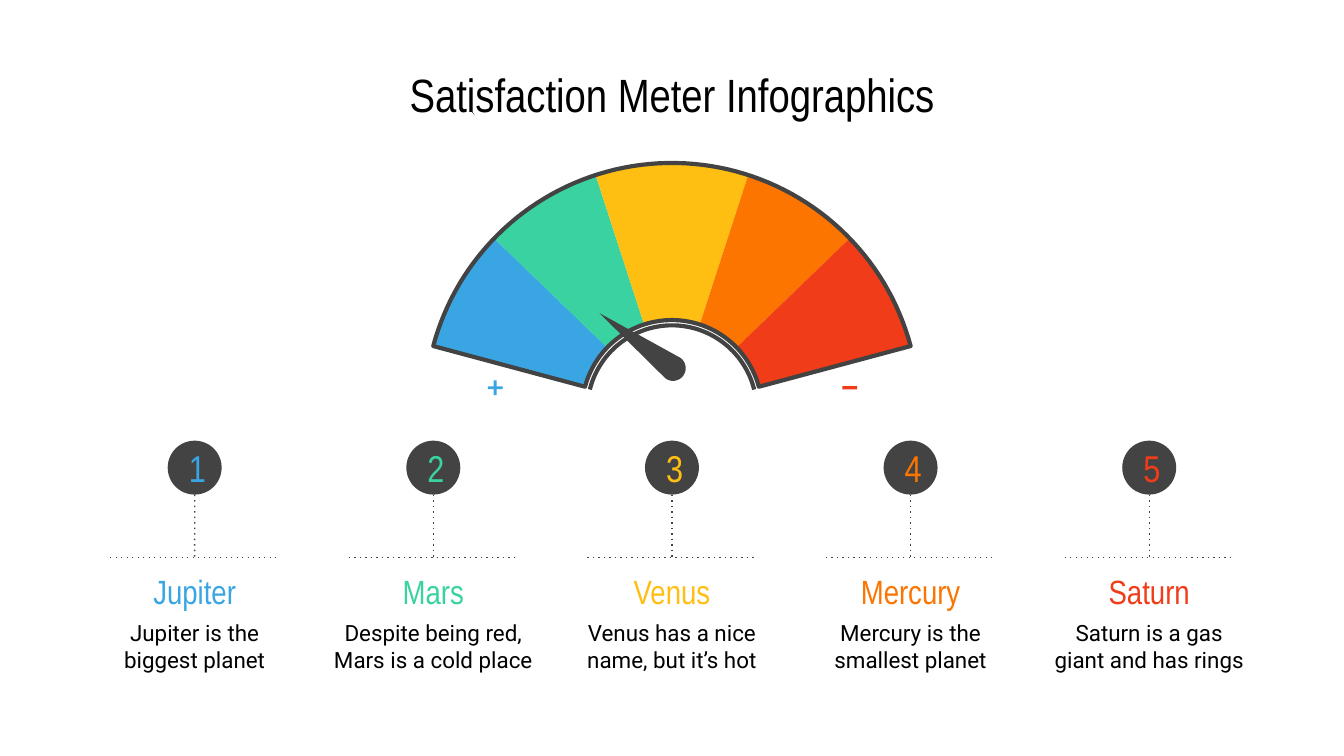
"""Build a satisfaction meter slide with a five-part gauge and its legend."""
import math
from typing import NamedTuple

import lxml.etree
import pptx
import pptx.dml.color
import pptx.enum.shapes
import pptx.enum.text
import pptx.oxml.ns
import pptx.util

Cm = pptx.util.Cm
RGBColor = pptx.dml.color.RGBColor
Kind = pptx.enum.shapes.MSO_SHAPE
Anchor = pptx.enum.text.MSO_ANCHOR
Point = tuple[float, float]

BLUE = RGBColor(0x39, 0xA6, 0xE3)
GREEN = RGBColor(0x39, 0xD2, 0xA0)
YELLOW = RGBColor(0xFF, 0xBE, 0x12)
ORANGE = RGBColor(0xFC, 0x75, 0x00)
RED = RGBColor(0xF1, 0x3C, 0x19)
DARK = RGBColor(0x43, 0x43, 0x43)
BLACK = RGBColor(0, 0, 0)

NARROW = "Arial Narrow"
WIDTH, HEIGHT = 25.4, 14.29
MIDDLE = WIDTH / 2
CENTER = (MIDDLE, 7.75)
OUTER, INNER, RIM = 4.67, 1.7, 1.6
HUB, TIP = (12.72, 6.96), (11.33, 5.92)
PITCH, BOX = 4.51, 4.29
DISC, TOP, RULE = 1.02, 8.33, 10.54


class Planet(NamedTuple):
    name: str
    fact: str
    color: RGBColor
    start: float
    end: float


PLANETS = [
    Planet("Jupiter", "Jupiter is the biggest planet", BLUE, 165, 136),
    Planet("Mars", "Despite being red, Mars is a cold place", GREEN, 136, 108),
    Planet("Venus", "Venus has a nice name, but it’s hot", YELLOW, 108, 72),
    Planet("Mercury", "Mercury is the smallest planet", ORANGE, 72, 44),
    Planet("Saturn", "Saturn is a gas giant and has rings", RED, 44, 15),
]


def arc(center: Point, radius: float, start: float, end: float) -> list[Point]:
    """Return points along an arc, with angles in degrees from the right."""
    steps = max(2, round(abs(end - start) / 2))
    turns = [math.radians(start + (end - start) * i / steps) for i in range(steps + 1)]
    return [(center[0] + radius * math.cos(t), center[1] - radius * math.sin(t)) for t in turns]


def ring(start: float, end: float) -> list[Point]:
    """Return the outline of a gauge sector."""
    return arc(CENTER, OUTER, start, end) + arc(CENTER, INNER, end, start)


def paint(shape, fill=None, line=None):
    """Set the fill and line of a shape and drop its shadow."""
    shape.shadow.inherit = False
    if fill is None:
        shape.fill.background()
    else:
        shape.fill.solid()
        shape.fill.fore_color.rgb = fill
    if line is None:
        shape.line.fill.background()
    else:
        shape.line.color.rgb = line
        shape.line.width = pptx.util.Pt(2.25)
    return shape


def trace(slide, points: list[Point], close: bool = True, fill=None, line=None):
    """Draw a freeform through the given points."""
    spots = [(Cm(x), Cm(y)) for x, y in points]
    pen = slide.shapes.build_freeform(*spots[0])
    pen.add_line_segments(spots[1:], close=close)
    return paint(pen.convert_to_shape(), fill, line)


def block(slide, kind, x: float, y: float, w: float, h: float, fill: RGBColor):
    """Draw a filled preset shape."""
    return paint(slide.shapes.add_shape(kind, Cm(x), Cm(y), Cm(w), Cm(h)), fill)


def write(shape, text: str, *, size: float, color=BLACK, font=NARROW, anchor=Anchor.TOP):
    """Put centred text in a shape."""
    frame = shape.text_frame
    frame.word_wrap = True
    frame.vertical_anchor = anchor
    frame.margin_left = frame.margin_right = Cm(0.25)
    frame.margin_top = frame.margin_bottom = Cm(0.25)
    para = frame.paragraphs[0]
    para.alignment = pptx.enum.text.PP_ALIGN.CENTER
    run = para.add_run()
    run.text = text
    run.font.size = pptx.util.Pt(size)
    run.font.name = font
    run.font.color.rgb = color
    return shape


def field(slide, x: float, y: float, w: float, h: float):
    """Add an empty text box."""
    return slide.shapes.add_textbox(Cm(x), Cm(y), Cm(w), Cm(h))


def dots(slide, start: Point, end: Point):
    """Draw a dotted line."""
    ends = [Cm(v) for v in (*start, *end)]
    link = slide.shapes.add_connector(pptx.enum.shapes.MSO_CONNECTOR.STRAIGHT, *ends)
    link.line.color.rgb = DARK
    link.line.width = pptx.util.Pt(0.75)
    qn = pptx.oxml.ns.qn
    props = link._element.spPr
    lxml.etree.SubElement(props.find(qn("a:ln")), qn("a:prstDash"), val="dot")
    lxml.etree.SubElement(props, qn("a:effectLst"))
    return link


def gauge(slide) -> None:
    """Draw the coloured sectors, outlines, signs and needle."""
    for planet in PLANETS:
        trace(slide, ring(planet.start, planet.end), fill=planet.color)
    plus = block(slide, Kind.CROSS, 9.22, 7.19, 0.28, 0.28, BLUE)
    plus.adjustments[0] = 0.4
    block(slide, Kind.RECTANGLE, 15.92, 7.3, 0.28, 0.06, RED)
    trace(slide, ring(165, 15), line=DARK)
    trace(slide, arc(CENTER, RIM, 166, 14), close=False, line=DARK)
    angle = math.degrees(math.atan2(HUB[1] - TIP[1], TIP[0] - HUB[0]))
    trace(slide, [TIP] + arc(HUB, 0.24, angle + 90, angle + 270), fill=DARK)


def column(slide, index: int, planet: Planet) -> None:
    """Draw one numbered legend column."""
    mid = MIDDLE + (index - 2) * PITCH
    left = mid - BOX / 2
    label = write(field(slide, left, RULE, BOX, 0.91), planet.name, size=18, color=planet.color)
    write(field(slide, left, 11.46, BOX, 1.4), planet.fact, size=12, font="Roboto")
    disc = block(slide, Kind.OVAL, mid - DISC / 2, TOP, DISC, DISC, DARK)
    write(disc, str(index + 1), size=20, color=planet.color, anchor=Anchor.MIDDLE)
    stem = dots(slide, (mid, TOP + DISC), (mid, RULE))
    stem.end_connect(label, 0)
    dots(slide, (mid - 1.6, RULE), (mid + 1.6, RULE))


def main() -> None:
    """Build and save the slide."""
    deck = pptx.Presentation()
    deck.slide_width, deck.slide_height = Cm(WIDTH), Cm(HEIGHT)
    slide = deck.slides.add_slide(deck.slide_layouts[6])
    title = field(slide, 1.27, 1.14, WIDTH - 2.54, 1.27)
    write(title, "Satisfaction Meter Infographics", size=25, anchor=Anchor.MIDDLE)
    trace(slide, [(8.89, 2.08), (8.94, 2.13), (8.97, 2.18)], fill=BLACK)
    gauge(slide)
    for index, planet in enumerate(PLANETS):
        column(slide, index, planet)
    deck.save("out.pptx")


if __name__ == "__main__":
    main()
